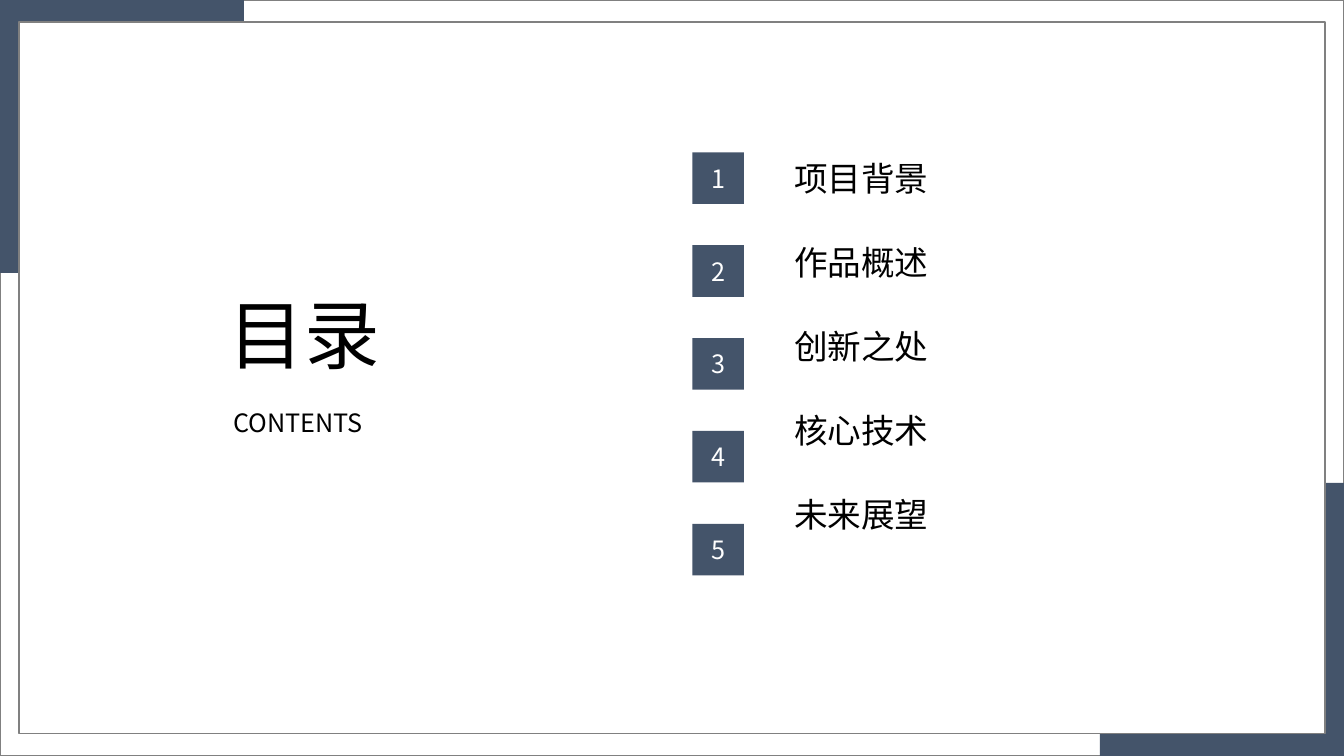
from dataclasses import dataclass

from lxml.etree import SubElement
from pptx import Presentation
from pptx.dml.color import RGBColor
from pptx.enum.shapes import MSO_SHAPE
from pptx.enum.text import MSO_ANCHOR, MSO_AUTO_SIZE, PP_ALIGN
from pptx.oxml.ns import qn
from pptx.util import Cm, Pt


@dataclass(frozen=True)
class Theme:
    font: str = "Noto Sans CJK SC"
    accent: RGBColor = RGBColor(0x44, 0x54, 0x6A)
    outline: RGBColor = RGBColor(0x80, 0x80, 0x80)
    paper: RGBColor = RGBColor(0xFF, 0xFF, 0xFF)
    ink: RGBColor = RGBColor(0, 0, 0)
    title_size: int = 54
    item_size: int = 24
    label_size: int = 18


@dataclass(frozen=True)
class Box:
    left: float
    top: float
    width: float
    height: float

    def lengths(self):
        return Cm(self.left), Cm(self.top), Cm(self.width), Cm(self.height)


THEME = Theme()
SLIDE_BOX = Box(0, 0, 33.87, 19.05)
ITEMS = ["项目背景", "作品概述", "创新之处", "核心技术", "未来展望"]


def write_text(shape, *lines, size, color=THEME.ink, align=PP_ALIGN.LEFT,
               anchor=MSO_ANCHOR.TOP, gap=0, plain_list=False):
    frame = shape.text_frame
    frame.word_wrap = True
    frame.auto_size = MSO_AUTO_SIZE.NONE
    frame.vertical_anchor = anchor
    for index, line in enumerate(lines):
        paragraph = frame.add_paragraph() if index else frame.paragraphs[0]
        paragraph.alignment = align
        paragraph.line_spacing = 1.0
        paragraph.space_before = Pt(gap if index else 0)
        if plain_list:
            properties = paragraph._p.get_or_add_pPr()
            properties.set("marL", "0")
            properties.set("indent", "0")
            SubElement(properties, qn("a:buNone"))
        run = paragraph.add_run()
        run.text = line
        run.font.name = THEME.font
        run.font.size = Pt(size)
        run.font.color.rgb = color
        SubElement(run.font._element, qn("a:ea")).set("typeface", THEME.font)


def add_rectangle(slide, box, fill=None, line=None):
    shape = slide.shapes.add_shape(MSO_SHAPE.RECTANGLE, *box.lengths())
    shape.shadow.inherit = False
    if fill is None:
        shape.fill.background()
    else:
        shape.fill.solid()
        shape.fill.fore_color.rgb = fill
    if line is None:
        shape.line.fill.background()
    else:
        shape.line.color.rgb = line
        shape.line.width = Pt(1)
    return shape


def place_in_front(slide, placeholder, box):
    slide.shapes.element.append(placeholder.element)
    placeholder.left, placeholder.top, placeholder.width, placeholder.height = box.lengths()


def add_frame(slide, box):
    corner_width, corner_height = 6.15, 6.88
    margin_x, margin_y = 0.48, 0.56
    add_rectangle(slide, box, line=THEME.outline)
    for left, top in (
        (box.left + box.width - corner_width, box.top + box.height - corner_height),
        (box.left, box.top),
    ):
        add_rectangle(slide, Box(left, top, corner_width, corner_height), fill=THEME.accent)
    inner = Box(box.left + margin_x, box.top + margin_y,
                box.width - 2 * margin_x, box.height - 2 * margin_y)
    add_rectangle(slide, inner, fill=THEME.paper, line=THEME.outline)


def add_heading(slide, box):
    title = slide.shapes.title
    place_in_front(slide, title, Box(box.left, box.top, box.width, 2.57))
    write_text(title, "目录", size=THEME.title_size, align=PP_ALIGN.JUSTIFY)
    subtitle_box = Box(box.left + 0.13, box.top + 2.99, box.width - 0.13, 1.02)
    subtitle = slide.shapes.add_textbox(*subtitle_box.lengths())
    write_text(subtitle, "CONTENTS", size=THEME.label_size, align=PP_ALIGN.JUSTIFY)


def add_agenda(slide, box):
    side, pitch, text_offset = 1.3, 2.34, 2.31
    for index in range(len(ITEMS)):
        square = add_rectangle(
            slide, Box(box.left, box.top + index * pitch, side, side), fill=THEME.accent)
        write_text(square, str(index + 1), size=THEME.label_size, color=THEME.paper,
                   align=PP_ALIGN.CENTER, anchor=MSO_ANCHOR.MIDDLE)
    body = slide.placeholders[1]
    place_in_front(slide, body, Box(box.left + text_offset, box.top,
                                    box.width - text_offset, box.height))
    write_text(body, *ITEMS, size=THEME.item_size, gap=31.3, plain_list=True)


def main():
    presentation = Presentation()
    presentation.slide_width = Cm(SLIDE_BOX.width)
    presentation.slide_height = Cm(SLIDE_BOX.height)
    slide = presentation.slides.add_slide(presentation.slide_layouts[1])
    add_frame(slide, SLIDE_BOX)
    add_heading(slide, Box(5.51, 7.14, 5.64, 4.01))
    add_agenda(slide, Box(17.45, 3.84, 7.62, 10.9))
    presentation.save("out.pptx")


if __name__ == "__main__":
    main()
